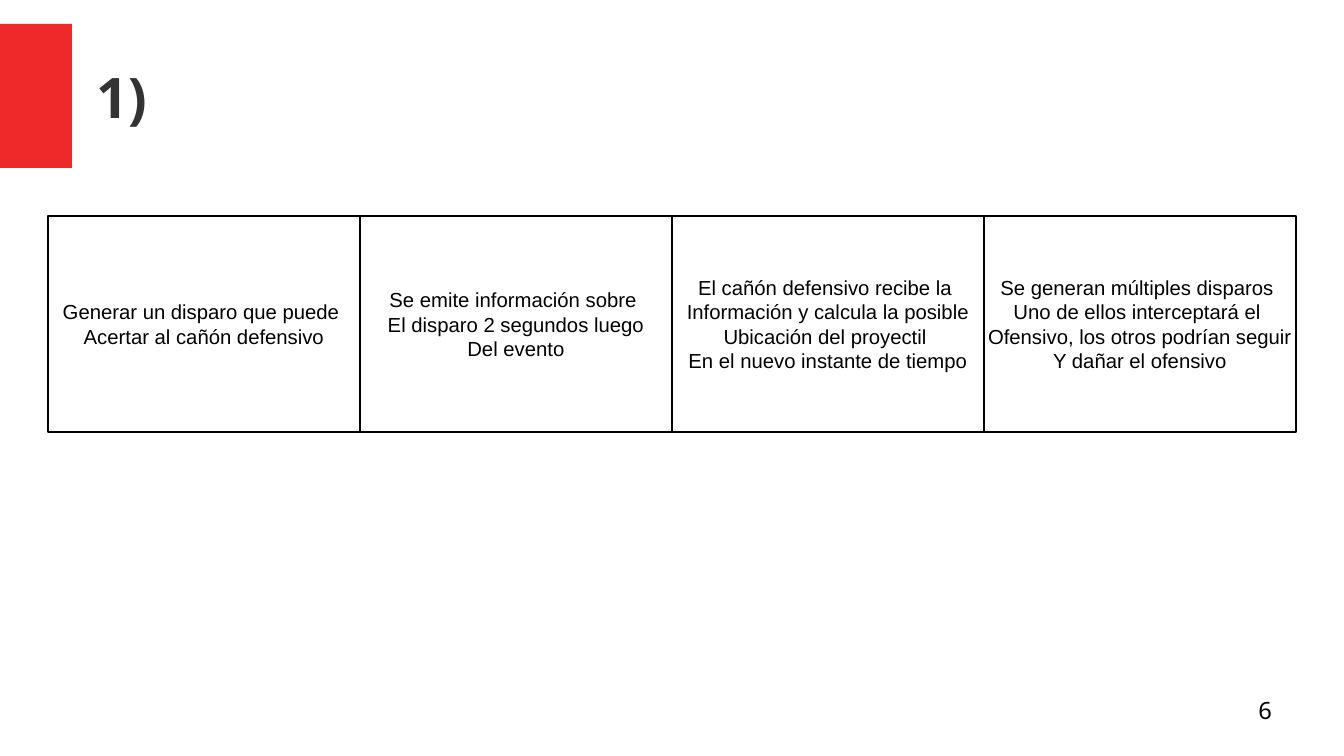
import dataclasses

import pptx
import pptx.dml.color
import pptx.enum.shapes
import pptx.enum.text
import pptx.util

COLORS = {"accent": "EF2929", "title": "333333", "ink": "000000", "paper": "FFFFFF"}
UNIT = pptx.util.Cm(0.5)
PAGE_COLUMNS, PAGE_ROWS = 56, 31.5
STEP_LEFT, STEP_TOP, STEP_SIZE = 2, 9, 13
ALIGN = pptx.enum.text.PP_ALIGN
ANCHOR = pptx.enum.text.MSO_ANCHOR


@dataclasses.dataclass(frozen=True)
class Area:
    column: float
    row: float
    columns: float
    rows: float

    def lengths(self) -> list[int]:
        return [round(count * UNIT) for count in dataclasses.astuple(self)]


@dataclasses.dataclass(frozen=True)
class Step:
    lines: tuple[str, ...]


STEPS = (
    Step(("Generar un disparo que puede ", "Acertar al cañón defensivo")),
    Step(("Se emite información sobre ", "El disparo 2 segundos luego", "Del evento")),
    Step((
        "El cañón defensivo recibe la ",
        "Información y calcula la posible",
        "Ubicación del proyectil ",
        "En el nuevo instante de tiempo",
    )),
    Step((
        "Se generan múltiples disparos ",
        "Uno de ellos interceptará el ",
        "Ofensivo, los otros podrían seguir",
        "Y dañar el ofensivo",
    )),
)


def rgb(name: str) -> pptx.dml.color.RGBColor:
    return pptx.dml.color.RGBColor.from_string(COLORS[name])


def write(box, lines: tuple[str, ...], *, size: float, font: str = "Noto Sans",
          color: str = "ink", bold: bool = False, align=ALIGN.LEFT,
          anchor=ANCHOR.MIDDLE, wrap: bool = True,
          inset: tuple[float, float] = (0, 0)) -> None:
    frame = box.text_frame
    frame.auto_size = pptx.enum.text.MSO_AUTO_SIZE.NONE
    frame.word_wrap = wrap
    frame.vertical_anchor = anchor
    frame.margin_left = frame.margin_right = pptx.util.Inches(inset[0])
    frame.margin_top = frame.margin_bottom = pptx.util.Inches(inset[1])
    for index, line in enumerate(lines):
        para = frame.add_paragraph() if index else frame.paragraphs[0]
        para.alignment = align
        span = para.add_run()
        span.text = line
        span.font.size = pptx.util.Pt(size)
        span.font.name = font
        span.font.bold = bold
        span.font.color.rgb = rgb(color)


def add_rectangle(page, area: Area, *, fill: str, outline: str | None = None):
    box = page.shapes.add_shape(pptx.enum.shapes.MSO_SHAPE.RECTANGLE, *area.lengths())
    box.shadow.inherit = False
    box.fill.solid()
    box.fill.fore_color.rgb = rgb(fill)
    if outline:
        box.line.color.rgb = rgb(outline)
        box.line.width = pptx.util.Pt(0.85)
    else:
        box.line.fill.background()
    return box


def add_title(page, text: str, area: Area) -> None:
    title = page.shapes.title
    title.left, title.top, title.width, title.height = area.lengths()
    write(title, (text,), size=33, color="title", bold=True)


def add_step(page, step: Step, position: int) -> None:
    area = Area(STEP_LEFT + position * STEP_SIZE, STEP_TOP, STEP_SIZE, 9)
    box = add_rectangle(page, area, fill="paper", outline="ink")
    write(box, step.lines, size=12, font="Arial", align=ALIGN.CENTER,
          wrap=False, inset=(0.1, 0.05))


def main() -> None:
    deck = pptx.Presentation()
    deck.slide_width = round(PAGE_COLUMNS * UNIT)
    deck.slide_height = round(PAGE_ROWS * UNIT)
    page = deck.slides.add_slide(deck.slide_layouts.get_by_name("Title Only"))
    page.background.fill.solid()
    page.background.fill.fore_color.rgb = rgb("paper")
    add_rectangle(page, Area(0, 1, 3, 6), fill="accent")
    add_title(page, "1)", Area(4, 1, 50, 6))
    for position, step in enumerate(STEPS):
        add_step(page, step, position)
    number = page.shapes.add_textbox(*Area(40, 29, 13, 2.2).lengths())
    write(number, ("6",), size=14, align=ALIGN.RIGHT, anchor=ANCHOR.TOP)
    deck.save("out.pptx")


if __name__ == "__main__":
    main()
